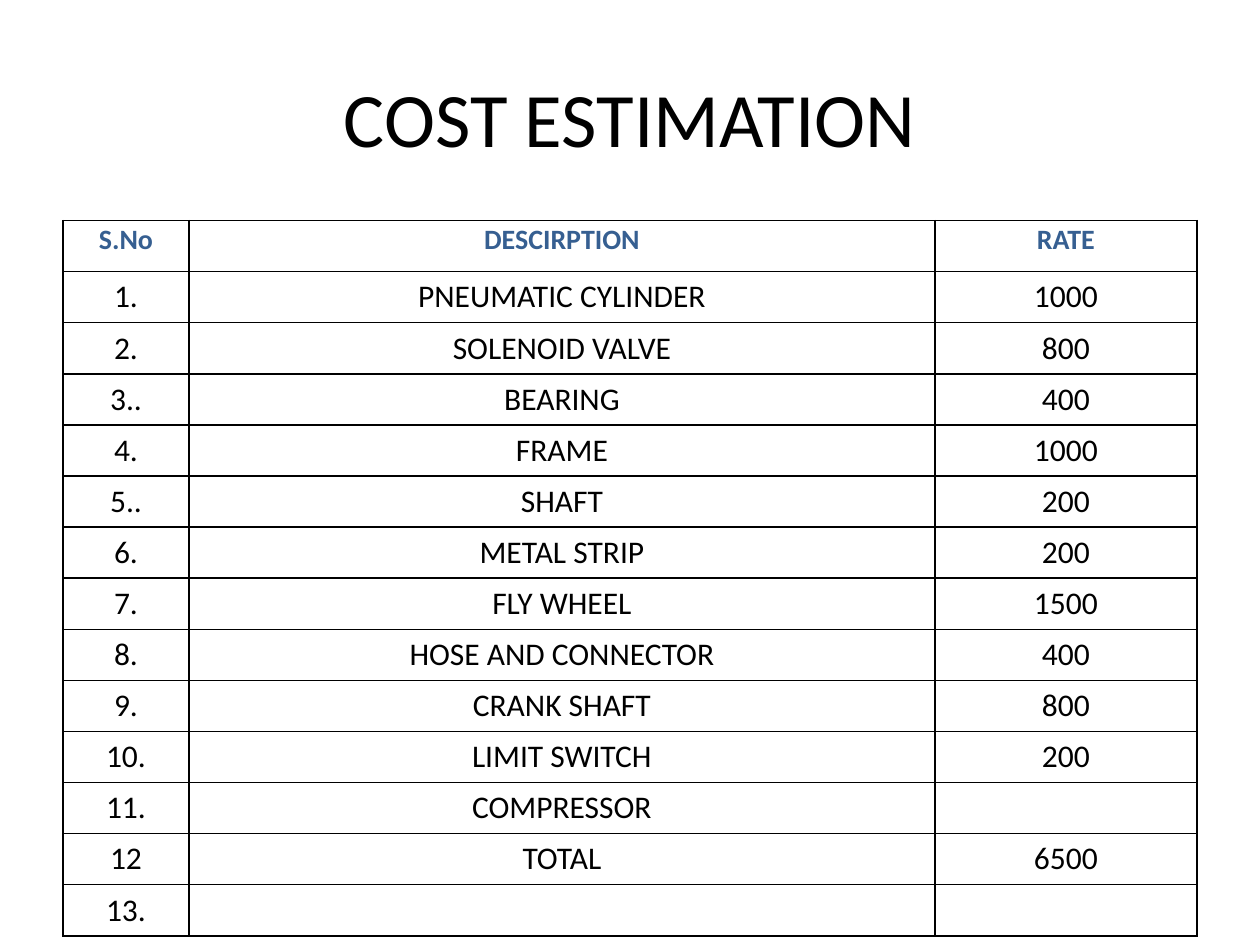
from dataclasses import dataclass

from pptx import Presentation
from pptx.dml.color import RGBColor
from pptx.enum.text import MSO_ANCHOR, PP_ALIGN
from pptx.oxml import parse_xml
from pptx.oxml.ns import nsdecls
from pptx.util import Inches, Pt


@dataclass(frozen=True)
class Theme:
    font: str = "Calibri"
    black: str = "000000"
    header: str = "365F91"
    title_size: int = 44
    header_size: int = 16
    body_size: int = 18
    border_width: int = 1


theme = Theme()


def format_text(paragraph, size, color, bold=False):
    paragraph.alignment = PP_ALIGN.CENTER
    for run in paragraph.runs:
        run.font.name = theme.font
        run.font.size = Pt(size)
        run.font.bold = bold
        run.font.color.rgb = RGBColor.from_string(color)


def add_borders(cell):
    properties = cell._tc.get_or_add_tcPr()
    for side in ("lnL", "lnR", "lnT", "lnB"):
        properties.append(parse_xml(
            f'<a:{side} {nsdecls("a")} w="{Pt(theme.border_width)}">'
            f'<a:solidFill><a:srgbClr val="{theme.black}"/></a:solidFill></a:{side}>'))


presentation = Presentation()
presentation.slide_width = Inches(10)
presentation.slide_height = Inches(7.5)
slide = presentation.slides.add_slide(presentation.slide_layouts[6])

# Title
title = slide.shapes.add_textbox(Inches(0.5), Inches(0.3), Inches(9), Inches(1.25))
title.text_frame.word_wrap = True
title.text_frame.vertical_anchor = MSO_ANCHOR.MIDDLE
title.text_frame.text = "COST ESTIMATION"
format_text(title.text_frame.paragraphs[0], theme.title_size, theme.black)

# Cost table
rows = [
    ("S.No", "DESCIRPTION", "RATE"),
    ("1.", "PNEUMATIC CYLINDER", "1000"),
    ("2.", "SOLENOID VALVE", "800"),
    ("3..", "BEARING", "400"),
    ("4.", "FRAME", "1000"),
    ("5..", "SHAFT", "200"),
    ("6.", "METAL STRIP", "200"),
    ("7.", "FLY WHEEL", "1500"),
    ("8.", "HOSE AND CONNECTOR", "400"),
    ("9.", "CRANK SHAFT", "800"),
    ("10.", "LIMIT SWITCH", "200"),
    ("11.", "COMPRESSOR", ""),
    ("12", "TOTAL", "6500"),
    ("13.", "", ""),
]
column_widths = (1, 5.92, 2.08)
table = slide.shapes.add_table(
    len(rows), len(column_widths),
    Inches(0.5), Inches(1.75), Inches(9), Inches(5.68)).table
table.first_row = False
table.horz_banding = False
for column, width in zip(table.columns, column_widths):
    column.width = Inches(width)

for row_index, row in enumerate(rows):
    for column_index, text in enumerate(row):
        cell = table.cell(row_index, column_index)
        add_borders(cell)
        cell.fill.background()
        cell.text_frame.text = text
        paragraph = cell.text_frame.paragraphs[0]
        if row_index == 0:
            cell.margin_left = cell.margin_right = Inches(0.07)
            cell.margin_top = cell.margin_bottom = 0
            paragraph.line_spacing = 1.07
            paragraph.space_before = Pt(24)
            format_text(paragraph, theme.header_size, theme.header, bold=True)
        else:
            format_text(paragraph, theme.body_size, theme.black)

presentation.save("out.pptx")
